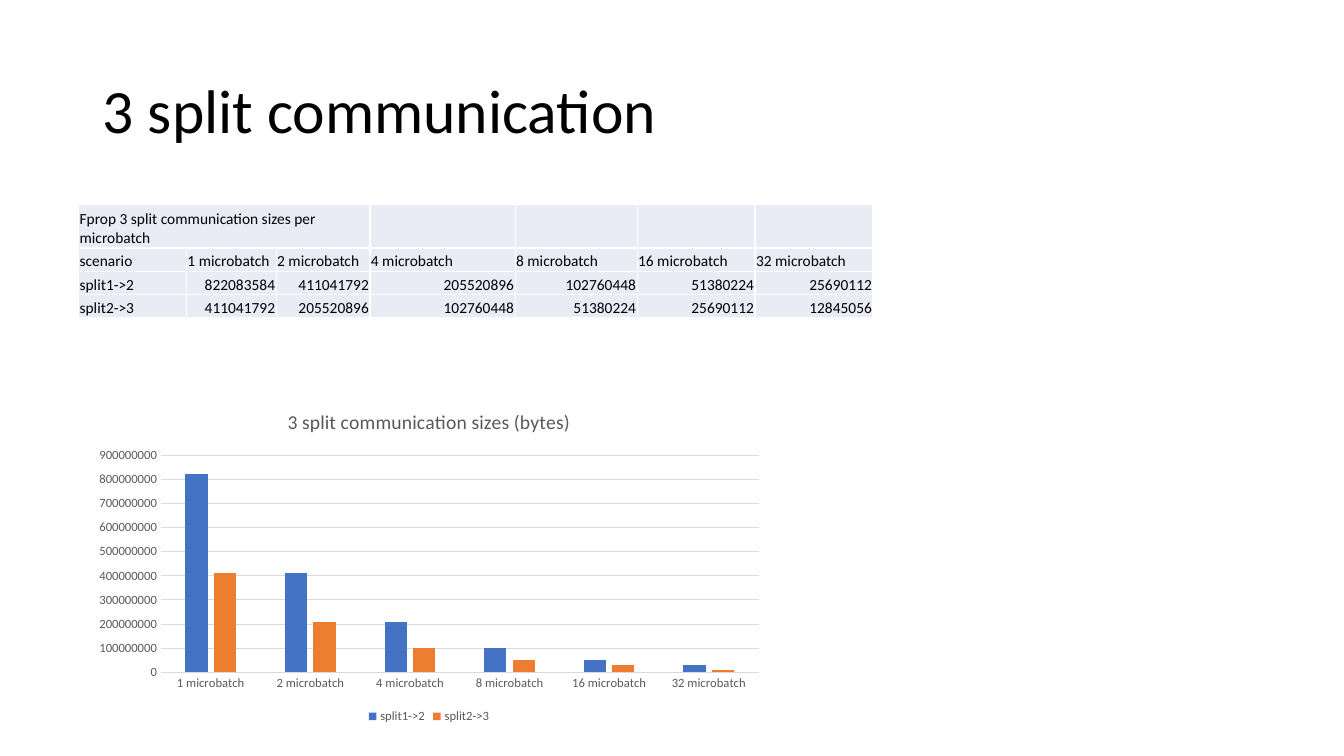
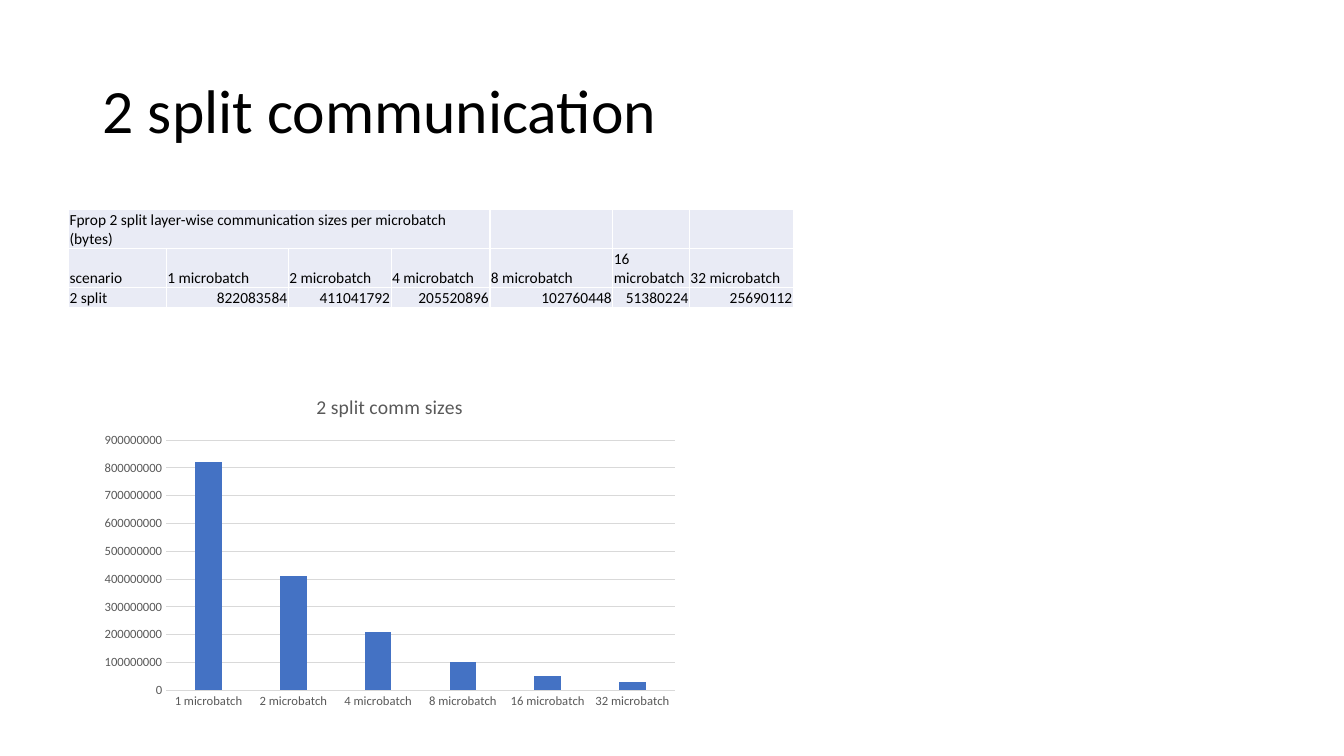
from lxml import etree
from pptx import Presentation
from pptx.chart.data import CategoryChartData
from pptx.dml.color import RGBColor
from pptx.enum.chart import XL_CHART_TYPE, XL_LEGEND_POSITION, XL_TICK_MARK
from pptx.enum.text import MSO_ANCHOR, PP_ALIGN
from pptx.oxml import parse_xml
from pptx.util import Inches, Pt

COLUMN = XL_CHART_TYPE.COLUMN_CLUSTERED
BELOW = XL_LEGEND_POSITION.BOTTOM
NO_TICK = XL_TICK_MARK.NONE
MIDDLE, BOTTOM = MSO_ANCHOR.MIDDLE, MSO_ANCHOR.BOTTOM
LEFT, RIGHT = PP_ALIGN.LEFT, PP_ALIGN.RIGHT

FACE = "Calibri"
BLACK, GRAY, RULE, PALE, WHITE = "000000", "595959", "D9D9D9", "E9EBF5", "FFFFFF"
BARS = ["4472C4", "ED7D31"]
NS = "http://schemas.openxmlformats.org/drawingml/2006/main"

TITLE_BOX = dict(left=Inches(0.92), top=Inches(0.4),
                 width=Inches(11.5), height=Inches(1.45))
CELL = dict(margin_left=Inches(0.01), margin_right=Inches(0.01),
            margin_top=Inches(0.01), margin_bottom=0,
            vertical_anchor=BOTTOM)
VALUE_AXIS = dict(minimum_scale=0, maximum_scale=900_000_000,
                  major_unit=100_000_000, has_major_gridlines=True)

BATCHES = [f"{2 ** n} microbatch" for n in range(6)]
FIRST = [822083584 // 2 ** n for n in range(6)]
SECOND = [size // 2 for size in FIRST]

SLIDES = [
    dict(title="3 split communication",
         head="Fprop 3 split communication sizes per microbatch", span=3,
         grid=(0.78, 2.03), cols=[1.07, 0.89, 0.93, 1.44, 1.21, 1.17, 1.17],
         rows=[0.43, 0.23, 0.23, 0.23],
         data={"split1->2": FIRST, "split2->3": SECOND},
         chart="3 split communication sizes (bytes)",
         frame=(0.85, 3.9, 6.81, 3.32), legend=True),
    dict(title="2 split communication",
         head="Fprop 2 split layer-wise communication sizes per microbatch (bytes)",
         span=4,
         grid=(0.68, 2.08), cols=[0.97, 1.21, 1.02, 0.98, 1.22, 0.76, 1.03],
         rows=[0.38, 0.38, 0.19],
         data={"2 split": FIRST},
         chart="2 split comm sizes",
         frame=(0.92, 3.75, 5.89, 3.35), legend=False),
]


def color(text):
    return RGBColor.from_string(text)


def style(font, size, tint):
    for name, value in dict(name=FACE, size=Pt(size), bold=False).items():
        setattr(font, name, value)
    font.color.rgb = color(tint)


deck = Presentation()
deck.slide_width, deck.slide_height = Inches(13.33), Inches(7.5)

for page in SLIDES:
    slide = deck.slides.add_slide(deck.slide_layouts[5])

    # Title
    title = slide.shapes.title
    for name, value in TITLE_BOX.items():
        setattr(title, name, value)
    title.text_frame.text = page["title"]
    title.text_frame.vertical_anchor = MIDDLE
    line = title.text_frame.paragraphs[0]
    line.alignment, line.line_spacing = LEFT, 0.9
    style(line.runs[0].font, 44, BLACK)

    # Table
    cols, rows = page["cols"], page["rows"]
    box = [*page["grid"], sum(cols), sum(rows)]
    table = slide.shapes.add_table(len(rows), len(cols), *map(Inches, box)).table
    for col, width in zip(table.columns, cols):
        col.width = Inches(width)
    for row, height in zip(table.rows, rows):
        row.height = Inches(height)
    table.cell(0, 0).merge(table.cell(0, page["span"] - 1))

    lines = [[page["head"]], ["scenario", *BATCHES]]
    lines += [[name, *sizes] for name, sizes in page["data"].items()]
    for r, texts in enumerate(lines):
        for c in range(len(cols)):
            cell = table.cell(r, c)
            for name, value in CELL.items():
                setattr(cell, name, value)
            cell.fill.solid()
            cell.fill.fore_color.rgb = color(PALE)
            props = cell._tc.get_or_add_tcPr()
            for n, side in enumerate("LRTB"):
                props.insert(n, parse_xml(
                    f'<a:ln{side} xmlns:a="{NS}" w="{Pt(1)}"><a:solidFill>'
                    f'<a:srgbClr val="{WHITE}"/></a:solidFill></a:ln{side}>'))
            para = cell.text_frame.paragraphs[0]
            if c < len(texts):
                run = para.add_run()
                run.text = str(texts[c])
                style(run.font, 11, BLACK)
                para.alignment = RIGHT if r > 1 and c else LEFT
            else:
                end = etree.SubElement(para._p, f"{{{NS}}}endParaRPr")
                end.set("sz", "1100")

    # Chart, drawn to the nearest ten million bytes
    data = CategoryChartData(number_format="0")
    data.categories = BATCHES
    for name, sizes in page["data"].items():
        data.add_series(name if page["legend"] else "Series 1",
                        [round(size, -7) for size in sizes])
    box = map(Inches, page["frame"])
    chart = slide.shapes.add_chart(COLUMN, *box, data).chart
    style(chart.font, 10, BLACK)
    chart.has_title = True
    chart.chart_title.include_in_layout = False
    chart.chart_title.text_frame.text = page["chart"]
    style(chart.chart_title.text_frame.paragraphs[0].runs[0].font, 14, GRAY)
    chart.has_legend = page["legend"]
    if chart.has_legend:
        chart.legend.position = BELOW
        chart.legend.include_in_layout = False
        style(chart.legend.font, 9, GRAY)

    plot = chart.plots[0]
    plot.gap_width, plot.overlap, plot.vary_by_categories = 219, -27, False
    for series, tint in zip(plot.series, BARS):
        series.format.fill.solid()
        series.format.fill.fore_color.rgb = color(tint)

    base, scale = chart.category_axis, chart.value_axis
    for name, value in VALUE_AXIS.items():
        setattr(scale, name, value)
    for axis in (base, scale):
        axis.major_tick_mark = axis.minor_tick_mark = NO_TICK
        style(axis.tick_labels.font, 9, GRAY)
    for part in (base, scale.major_gridlines):
        part.format.line.color.rgb = color(RULE)
        part.format.line.width = Pt(0.75)
    scale.format.line.fill.background()

deck.save("out.pptx")
